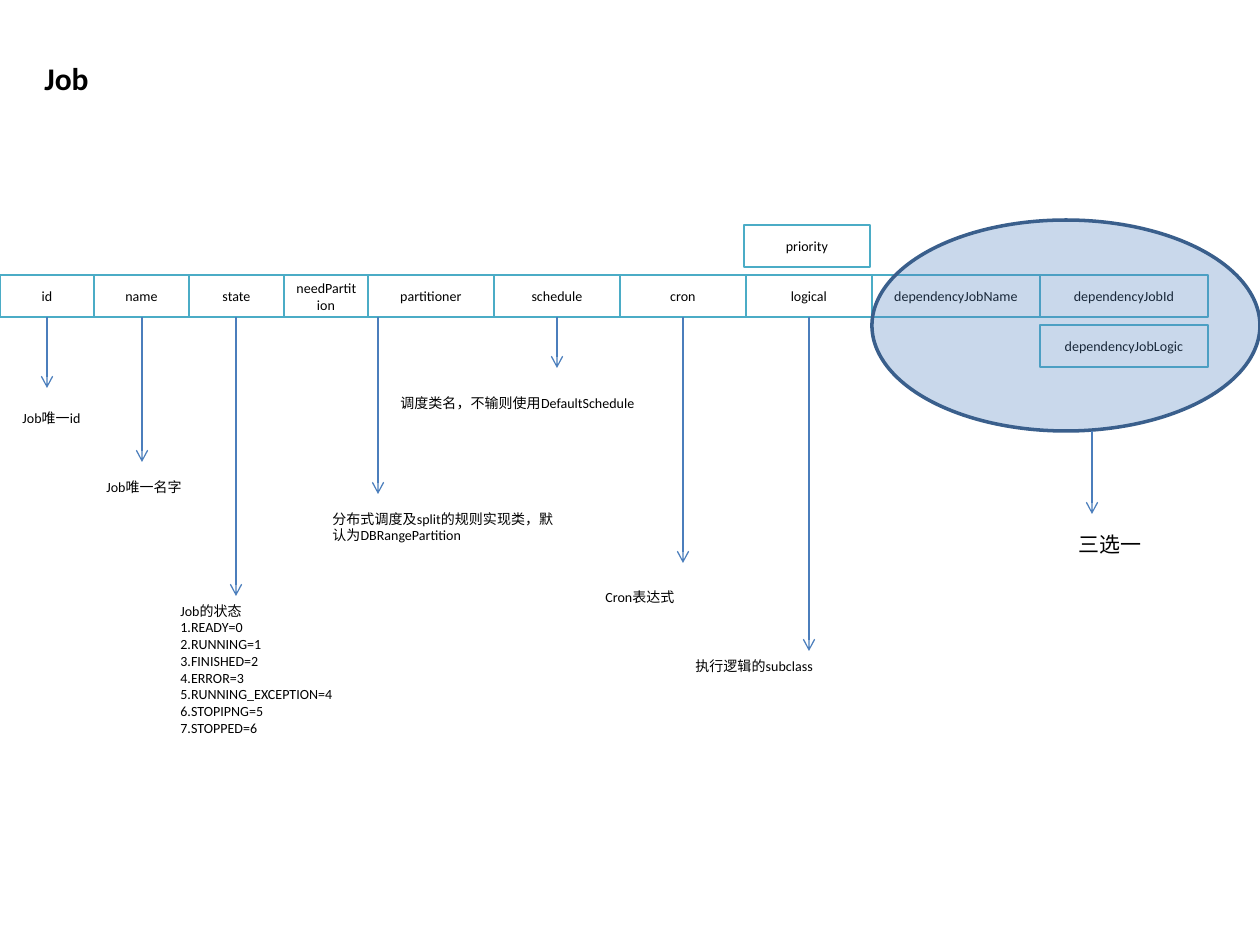
from dataclasses import dataclass

from lxml import etree
from pptx import Presentation
from pptx.dml.color import RGBColor
from pptx.enum.shapes import MSO_CONNECTOR, MSO_SHAPE
from pptx.enum.text import MSO_ANCHOR, MSO_AUTO_SIZE, PP_ALIGN
from pptx.oxml.ns import qn
from pptx.util import Pt

SCALE = 914400 / 126
FONT = "Calibri"
ROW_TOP, CELL_HEIGHT = 275, 42


@dataclass
class Field:
    """A cell of the job record."""
    name: str
    width: int


@dataclass
class Arrow:
    """A vertical arrow."""
    x: int
    top: int
    bottom: int


@dataclass
class Note:
    """A text block, one paragraph per line."""
    text: str
    left: int
    top: int
    width: int
    height: int
    size: int = 8
    bold: bool = False


FIELDS = [
    Field("id", 94), Field("name", 95), Field("state", 95),
    Field("needPartition", 84), Field("partitioner", 126),
    Field("schedule", 126), Field("cron", 126), Field("logical", 126),
    Field("dependencyJobName", 168), Field("dependencyJobId", 168),
]
ROW_BOTTOM = ROW_TOP + CELL_HEIGHT
ARROWS = [Arrow(x, ROW_BOTTOM, bottom) for x, bottom in (
    (47, 388), (142, 462), (236, 596), (378, 494),
    (557, 368), (683, 563), (809, 651))]
ARROWS.append(Arrow(1092, 431, 514))

STATES = ["READY", "RUNNING", "FINISHED", "ERROR", "RUNNING_EXCEPTION",
          "STOPIPNG", "STOPPED"]
STATE_LINES = [f"{code + 1}.{state}={code}" for code, state in enumerate(STATES)]
NOTES = [
    Note("Job", 32, 53, 305, 53, 18, True),
    Note("Job唯一id", 10, 403, 84, 30),
    Note("Job唯一名字", 94, 472, 116, 30),
    Note("\n".join(["Job的状态"] + STATE_LINES), 168, 596, 252, 149),
    Note("分布式调度及split的规则实现类，默认为DBRangePartition", 320, 504, 257, 47),
    Note("调度类名，不输则使用DefaultSchedule", 388, 388, 315, 30),
    Note("Cron表达式", 593, 582, 94, 30),
    Note("执行逻辑的subclass", 683, 651, 158, 30),
    Note("三选一", 1066, 525, 131, 38, 12),
]


def px(value: int) -> int:
    """Turn pixels into EMU."""
    return round(value * SCALE)


def color(hex_code: str) -> RGBColor:
    """Turn a hex string into a colour."""
    return RGBColor.from_string(hex_code)


def write(frame, text: str, size: int, bold: bool = False, align=None) -> None:
    """Fill a text frame with black text, one paragraph per line."""
    frame.word_wrap = True
    frame.text = text
    for paragraph in frame.paragraphs:
        paragraph.alignment = align
        for run in paragraph.runs:
            run.font.name, run.font.size, run.font.bold = FONT, Pt(size), bold
            run.font.color.rgb = color("000000")


def add_outlined(slide, kind, box: tuple, fill: str, line: str, weight: float):
    """Add a filled shape with an outline and no shadow."""
    shape = slide.shapes.add_shape(kind, *map(px, box))
    shape.shadow.inherit = False
    shape.fill.solid()
    shape.fill.fore_color.rgb = color(fill)
    shape.line.color.rgb = color(line)
    shape.line.width = Pt(weight)
    return shape


def add_cell(slide, name: str, left: int, top: int, width: int) -> None:
    """Add one labelled field cell."""
    cell = add_outlined(slide, MSO_SHAPE.RECTANGLE,
                        (left, top, width, CELL_HEIGHT), "FFFFFF", "4BACC6", 1.5)
    cell.text_frame.vertical_anchor = MSO_ANCHOR.MIDDLE
    write(cell.text_frame, name, 8, align=PP_ALIGN.CENTER)


def add_group_ellipse(slide) -> None:
    """Add the translucent ellipse over the dependency fields."""
    ellipse = add_outlined(slide, MSO_SHAPE.OVAL, (872, 220, 388, 211),
                           "4F81BD", "3A5F8C", 2)
    fill_color = ellipse.fill._xPr.find(qn("a:solidFill"))[0]
    etree.SubElement(fill_color, qn("a:alpha"), val="30000")


def add_arrow(slide, arrow: Arrow) -> None:
    """Add a downward arrow with an open head."""
    line = slide.shapes.add_connector(
        MSO_CONNECTOR.STRAIGHT, px(arrow.x), px(arrow.top),
        px(arrow.x), px(arrow.bottom))
    line.line.color.rgb = color("4B7EBC")
    line.line.width = Pt(0.75)
    etree.SubElement(line.line._get_or_add_ln(), qn("a:tailEnd"), type="arrow")
    etree.SubElement(line._element.spPr, qn("a:effectLst"))


def add_note(slide, note: Note) -> None:
    """Add a text block."""
    box = slide.shapes.add_textbox(
        *map(px, (note.left, note.top, note.width, note.height)))
    write(box.text_frame, note.text, note.size, note.bold)
    box.text_frame.auto_size = MSO_AUTO_SIZE.SHAPE_TO_FIT_TEXT


def build() -> None:
    """Build and save the slide."""
    deck = Presentation()
    deck.slide_width, deck.slide_height = px(1260), px(945)
    slide = deck.slides.add_slide(deck.slide_layouts[6])
    left = 0
    for field in FIELDS:
        add_cell(slide, field.name, left, ROW_TOP, field.width)
        left += field.width
    add_cell(slide, "dependencyJobLogic", 1040, 325, 168)
    add_group_ellipse(slide)
    add_cell(slide, "priority", 744, 225, 126)
    for arrow in ARROWS:
        add_arrow(slide, arrow)
    for note in NOTES:
        add_note(slide, note)
    deck.save("out.pptx")


build()
